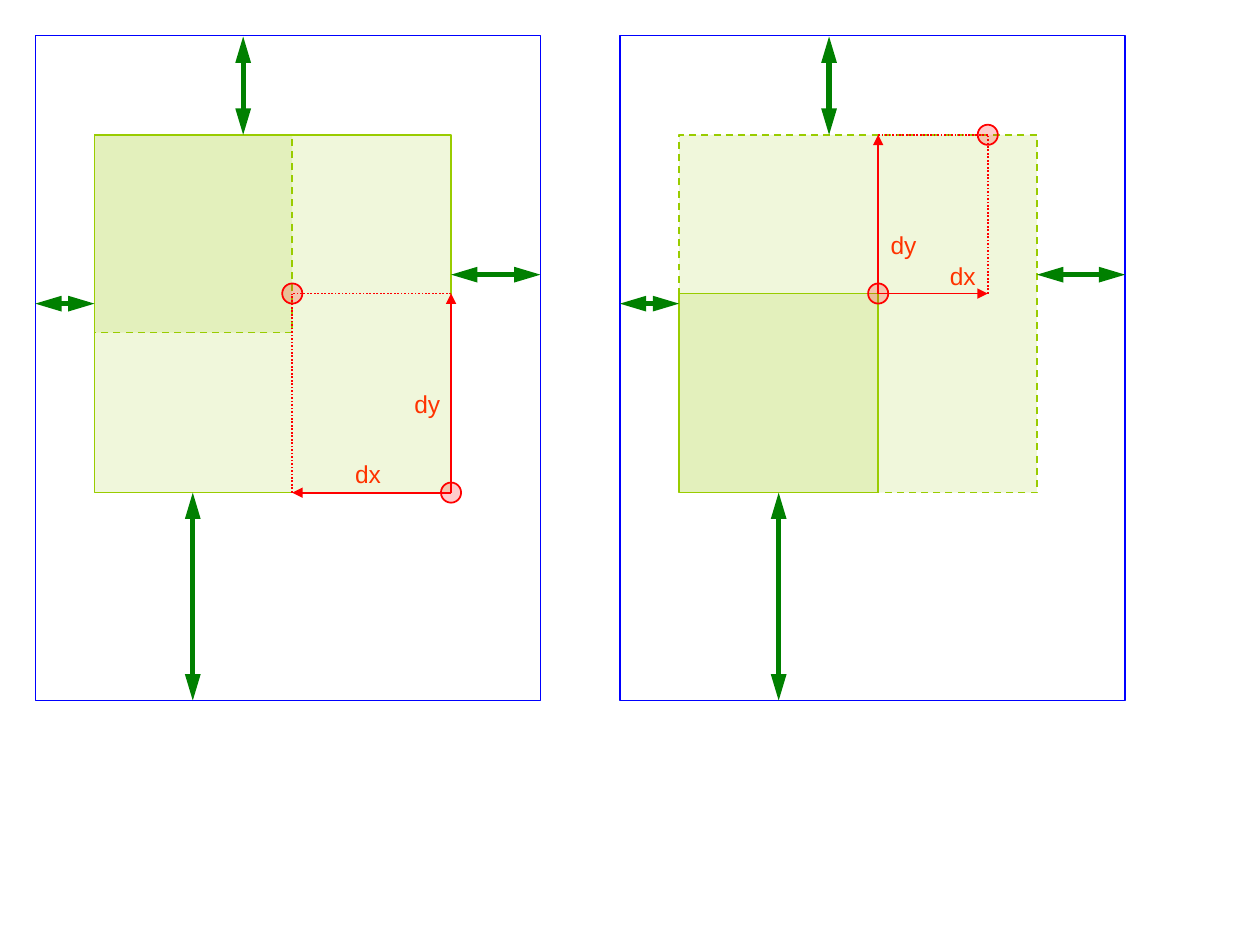
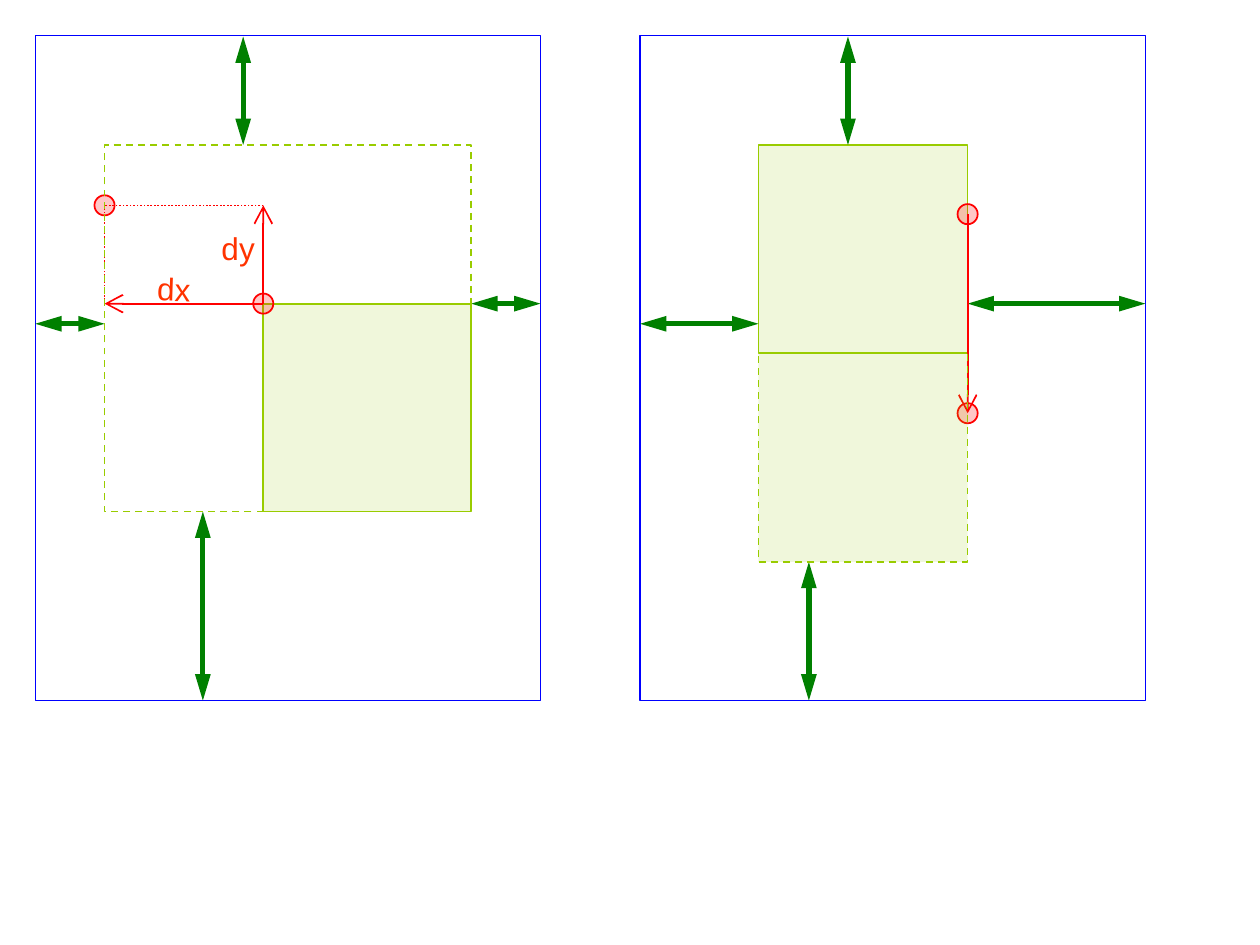
from lxml import etree
from pptx import Presentation
from pptx.dml.color import RGBColor
from pptx.enum.dml import MSO_LINE
from pptx.enum.shapes import MSO_CONNECTOR, MSO_SHAPE
from pptx.oxml.ns import qn
from pptx.util import Inches, Pt

RECT, OVAL = MSO_SHAPE.RECTANGLE, MSO_SHAPE.OVAL
STRAIGHT = MSO_CONNECTOR.STRAIGHT
DASH, DOT = MSO_LINE.DASH, MSO_LINE.ROUND_DOT  # ROUND_DOT is sysDot in the file

BLUE, GREEN, LIME, RED, ORANGE = "0000FF", "008000", "99CC00", "FF0000", "FF3300"
FONT = "Arial"
PAGE_TOP, PAGE_BOTTOM, PAGE_WIDTH = 0.28, 5.56, 4.01
MARKER = 0.16

# Arrowheads: type, width, length
SOLID = {"type": "triangle"}
LONG = {"type": "triangle", "w": "med", "len": "lg"}
OPEN = {"type": "arrow", "w": "lg", "len": "lg"}


def rgb(hex_color):
    return RGBColor.from_string(hex_color)


def style_line(line, color, width=1, dash=None):
    line.color.rgb = rgb(color)
    line.width = Pt(width)
    if dash:
        line.dash_style = dash


def outline(shapes, kind, x, y, w, h, color, alpha=None, width=1, dash=None):
    """Outlined shape, filled with its line colour at alpha percent, if given."""
    sp = shapes.add_shape(kind, Inches(x), Inches(y), Inches(w), Inches(h))
    sp.shadow.inherit = False
    style_line(sp.line, color, width, dash)
    if alpha is None:
        sp.fill.background()
    else:
        sp.fill.solid()
        sp.fill.fore_color.rgb = rgb(color)
        clr = sp.fill._xPr.find(".//" + qn("a:srgbClr"))
        etree.SubElement(clr, qn("a:alpha"), val=str(alpha * 1000))


def area(shapes, left, top, right, bottom, alpha=14, dash=None):
    outline(shapes, RECT, left, top, right - left, bottom - top, LIME, alpha, dash=dash)


def marker(shapes, x, y, alpha=20):
    """Translucent red dot centred on a point."""
    outline(shapes, OVAL, x - MARKER / 2, y - MARKER / 2, MARKER, MARKER, RED, alpha)


def connect(shapes, start, end, color=RED, width=1, dash=None, head=None, tail=None):
    points = [Inches(v) for v in (*start, *end)]
    cx = shapes.add_connector(STRAIGHT, *points)
    style_line(cx.line, color, width, dash)
    ln = cx.line._get_or_add_ln()
    for tag, arrowhead in (("a:headEnd", head), ("a:tailEnd", tail)):
        if arrowhead:
            etree.SubElement(ln, qn(tag), **arrowhead)
    etree.SubElement(cx._element.spPr, qn("a:effectLst"))


def offset(shapes, start, end, tail):
    """Arrows for dx and dy from start, closed to a rectangle by dotted lines."""
    (x0, y0), (x1, y1) = start, end
    for corner in ((x0, y1), (x1, y0)):
        connect(shapes, start, corner, tail=tail)
        connect(shapes, corner, end, dash=DOT)


def label(shapes, text, x, y, w=0.4, h=0.34, size=14, rotation=0):
    tb = shapes.add_textbox(Inches(x), Inches(y), Inches(w), Inches(h))
    tb.rotation = rotation
    tf = tb.text_frame
    tf.word_wrap = True
    tf.margin_right = 0
    r = tf.paragraphs[0].add_run()
    r.text = text
    r.font.name, r.font.size = FONT, Pt(size)
    r.font.color.rgb = rgb(ORANGE)


def page(shapes, page_left, bounds, top_x, bottom_x, left_y, right_y):
    """Page frame with a double arrow from each edge to the bounds inside it."""
    left, top, right, bottom = bounds
    page_right = page_left + PAGE_WIDTH
    outline(shapes, RECT, page_left, PAGE_TOP, PAGE_WIDTH, PAGE_BOTTOM - PAGE_TOP,
            BLUE, width=0.75)
    margins = [
        ((top_x, PAGE_TOP + 0.01), (top_x, top)),
        ((bottom_x, bottom), (bottom_x, PAGE_BOTTOM)),
        ((page_left, left_y), (left, left_y)),
        ((right, right_y), (page_right, right_y)),
    ]
    for start, end in margins:
        connect(shapes, start, end, GREEN, 3, head=LONG, tail=LONG)


def resize_slide(s):
    bounds = left, top, right, bottom = 0.75, 1.07, 3.58, 3.91
    pivot = 2.32, 2.33
    group = s.shapes.add_group_shape().shapes
    area(group, *bounds)
    area(group, left, top, left + 1.57, top + 1.57, dash=DASH)
    marker(group, right, bottom)
    offset(group, (right, bottom), pivot, SOLID)
    marker(group, *pivot)
    label(group, "dy", 3.19, 3.04)
    label(group, "dx", 2.72, 3.59)
    page(s.shapes, 0.28, bounds, 1.93, 1.53, 2.41, 2.18)

    bounds = left, top, right, bottom = 5.39, 1.07, 8.23, 3.91
    pivot, target = (6.97, 2.33), (7.84, top)
    area(s.shapes, *bounds, dash=DASH)
    area(s.shapes, left, pivot[1], pivot[0], bottom)
    marker(s.shapes, *pivot)
    offset(s.shapes, pivot, target, SOLID)
    marker(s.shapes, *target)
    label(s.shapes, "dy", 6.97, 1.78)
    label(s.shapes, "dx", 7.44, 2.02)
    page(s.shapes, 4.92, bounds, 6.58, 6.18, 2.41, 2.18)


def limit_slide(s):
    bounds = left, top, right, bottom = 0.83, 1.15, 3.74, 4.06
    pivot, target = (2.09, 2.41), (left, 1.63)
    area(s.shapes, *pivot, right, bottom)
    offset(s.shapes, pivot, target, OPEN)
    for point in (pivot, target):
        marker(s.shapes, *point, alpha=22)
    label(s.shapes, "dx", 1.15, 2.09, 0.46, 0.4, 18, rotation=2)
    label(s.shapes, "dy", 1.66, 1.77, 0.46, 0.4, 18)
    page(s.shapes, 0.28, bounds, 1.93, 1.61, 2.57, 2.41)
    area(s.shapes, *bounds, alpha=None, dash=DASH)

    bounds = left, top, right, bottom = 6.02, 1.15, 7.68, 4.46
    middle = (top + bottom) / 2
    start, end = (right, 1.7), (right, 3.28)
    area(s.shapes, left, top, right, middle)
    for point in (end, start):
        marker(s.shapes, *point, alpha=22)
    page(s.shapes, 5.08, bounds, 6.73, 6.42, 2.57, 2.41)
    connect(s.shapes, start, end, tail=OPEN)
    area(s.shapes, left, middle, right, bottom, dash=DASH)


def main():
    prs = Presentation()
    prs.slide_width, prs.slide_height = Inches(10), Inches(7.5)
    blank = prs.slide_layouts[6]
    for build in (resize_slide, limit_slide):
        build(prs.slides.add_slide(blank))
    prs.save("out.pptx")


if __name__ == "__main__":
    main()
